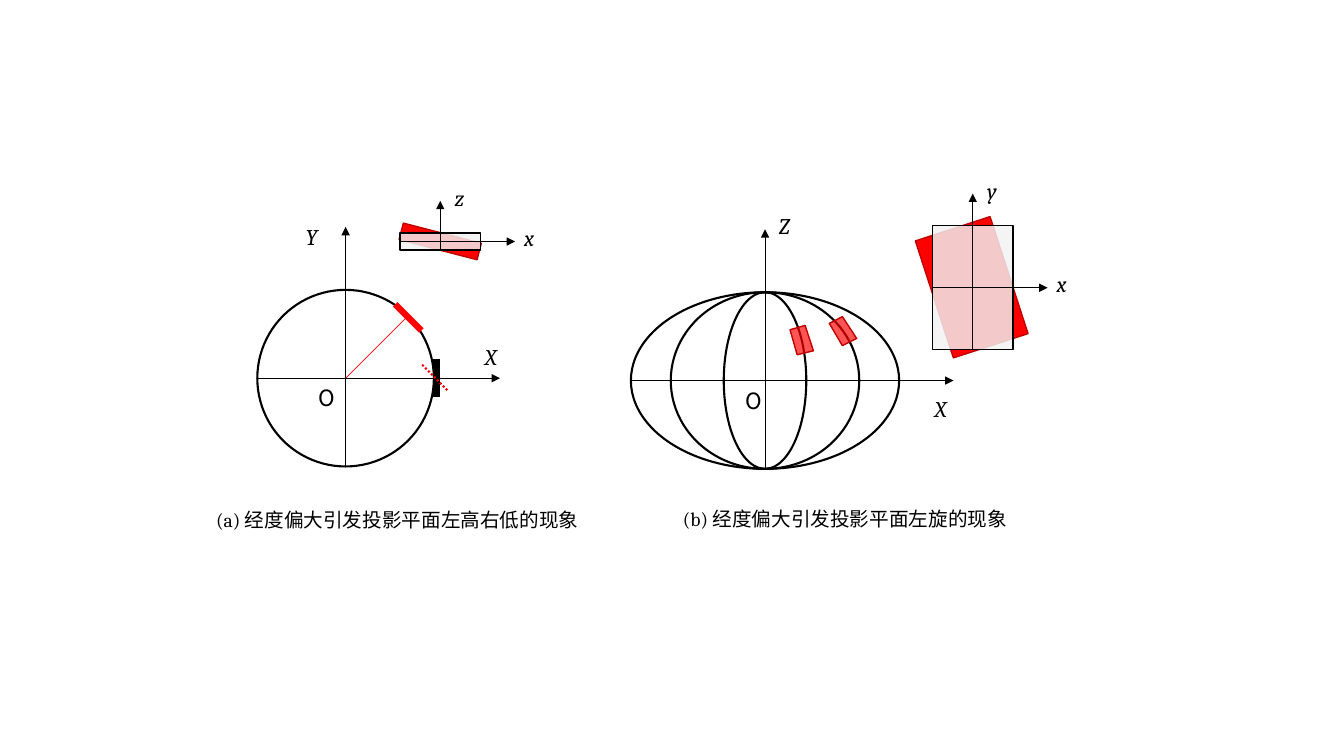
from lxml import etree
from pptx import Presentation
from pptx import util as u
from pptx.dml.color import RGBColor
from pptx.enum import dml, shapes, text
from pptx.oxml import ns

Cm, Pt = u.Cm, u.Pt
rgb = RGBColor.from_string
BLACK, RED, DARK_RED, GREY = "000000", "FF0000", "C00000", "F2F2F2"
SERIF, SANS = "Cambria", "Noto Sans CJK SC"


def add_text(parent, words, left, top, width=0.97, height=0.94, size=16,
             font=SERIF, italic=False, lead=""):
    box = parent.add_textbox(Cm(left), Cm(top), Cm(width), Cm(height))
    frame = box.text_frame
    frame.word_wrap = True
    frame.auto_size = text.MSO_AUTO_SIZE.SHAPE_TO_FIT_TEXT
    paragraph = frame.paragraphs[0]
    paragraph.alignment = text.PP_ALIGN.CENTER
    for part, face in ((lead, SERIF), (words, font)):
        if part:
            run = paragraph.add_run()
            run.text = part
            run.font.name = face
            run.font.size = Pt(size)
            run.font.italic = italic
            run.font.color.rgb = rgb(BLACK)
            east_asian = etree.SubElement(run._r.get_or_add_rPr(), ns.qn("a:ea"))
            east_asian.set("typeface", face)


def add_line(parent, x1, y1, x2, y2, color=BLACK, weight=0.5, arrow=False, dash=None):
    line = parent.add_connector(shapes.MSO_CONNECTOR.STRAIGHT,
                                Cm(x1), Cm(y1), Cm(x2), Cm(y2))
    line.line.color.rgb = rgb(color)
    line.line.width = Pt(weight)
    if dash:
        line.line.dash_style = dash
    if arrow:
        head = etree.SubElement(line.line._get_or_add_ln(), ns.qn("a:tailEnd"))
        head.set("type", "triangle")
    etree.SubElement(line._element.spPr, ns.qn("a:effectLst"))


deck = Presentation()
deck.slide_width, deck.slide_height = Cm(33.87), Cm(19.05)
slide = deck.slides.add_slide(deck.slide_layouts[6])
canvas = slide.shapes

globe_height = 4.45
globes = [(8.71, 9.53, [4.45], 3.89), (19.28, 9.59, [6.76, 4.75, 2.08], 4.75)]
for center_x, center_y, widths, reach in globes:
    for width in widths:
        meridian = canvas.add_shape(
            shapes.MSO_SHAPE.OVAL, Cm(center_x - width / 2),
            Cm(center_y - globe_height / 2), Cm(width), Cm(globe_height))
        meridian.shadow.inherit = False
        meridian.fill.background()
        meridian.line.color.rgb = rgb(BLACK)
        meridian.line.width = Pt(1.5)
    add_line(canvas, center_x - widths[0] / 2, center_y, center_x + reach, center_y,
             arrow=True)
    add_line(canvas, center_x, center_y + 2.23, center_x, center_y - 3.81, arrow=True)
    add_text(canvas, "O", center_x - 0.97 + (0.2 if len(widths) > 1 else 0),
             center_y + 0.03, font=SANS)

add_line(canvas, 11, 9.04, 11, 10.01, weight=4.5)
add_line(canvas, 9.96, 7.67, 10.62, 8.33, color=RED, weight=4.5)
add_line(canvas, 10.29, 7.95, 8.71, 9.53, color=RED)
add_line(canvas, 10.64, 9.19, 11.3, 9.86, color=RED, weight=1.5,
         dash=dml.MSO_LINE.ROUND_DOT)

patches = [
    [(19.91, 8.31), (20.29, 8.2), (20.5, 8.84), (20.09, 8.94)],
    [(20.9, 8.15), (21.23, 7.98), (21.59, 8.53), (21.23, 8.71)],
]
for corners in patches:
    points = [(Cm(x), Cm(y)) for x, y in corners]
    outline = canvas.build_freeform(*points[0])
    outline.add_line_segments(points[1:], close=True)
    patch = outline.convert_to_shape()
    patch.shadow.inherit = False
    patch.fill.solid()
    patch.fill.fore_color.rgb = rgb(RED)
    alpha = etree.SubElement(patch._element.spPr.find(".//" + ns.qn("a:srgbClr")),
                             ns.qn("a:alpha"))
    alpha.set("val", "67000")
    patch.line.color.rgb = rgb(DARK_RED)
    patch.line.width = Pt(1)

for axis, left, top in [("X", 11.89, 8.51), ("Y", 7.37, 5.49),
                        ("X", 23.22, 9.83), ("Z", 19.28, 5.23)]:
    add_text(canvas, axis, left, top, italic=True)

insets = [
    (10.08, 5.87, 2.03, 0.43, 2.03, 0.43, 14.5, "z"),
    (23.5, 5.69, 2.03, 3.12, 1.98, 3.1, 342, "y"),
]
for left, top, width, height, tilted_width, tilted_height, angle, up_axis in insets:
    inset = canvas.add_group_shape().shapes
    planes = [(tilted_width, tilted_height, angle, RED, DARK_RED, 100),
              (width, height, 0, GREY, BLACK, 83)]
    for plane_width, plane_height, turn, fill, edge, opacity in planes:
        plane = inset.add_shape(shapes.MSO_SHAPE.RECTANGLE, Cm(left), Cm(top),
                                Cm(plane_width), Cm(plane_height))
        plane.shadow.inherit = False
        plane.rotation = turn
        plane.fill.solid()
        plane.fill.fore_color.rgb = rgb(fill)
        if opacity < 100:
            alpha = etree.SubElement(
                plane._element.spPr.find(".//" + ns.qn("a:srgbClr")), ns.qn("a:alpha"))
            alpha.set("val", str(opacity * 1000))
        plane.line.color.rgb = rgb(edge)
        plane.line.width = Pt(1)
    middle_x, middle_y = left + width / 2, top + height / 2
    add_line(inset, left, middle_y, left + 2.9, middle_y, arrow=True)
    add_line(inset, middle_x, top + height, middle_x, top - 0.81, arrow=True)
    add_text(inset, "x", left + 2.77, middle_y - 0.56, italic=True)
    add_text(inset, up_axis, middle_x, top - 1.35, italic=True)

captions = [("(a) ", "经度偏大引发投影平面左高右低的现象", 4.62, 12.67),
            ("(b) ", "经度偏大引发投影平面左旋的现象", 15.9, 12.65)]
for mark, caption, left, top in captions:
    add_text(canvas, caption, left, top, width=10.8, height=0.86, size=14,
             font=SANS, lead=mark)

deck.save("out.pptx")
